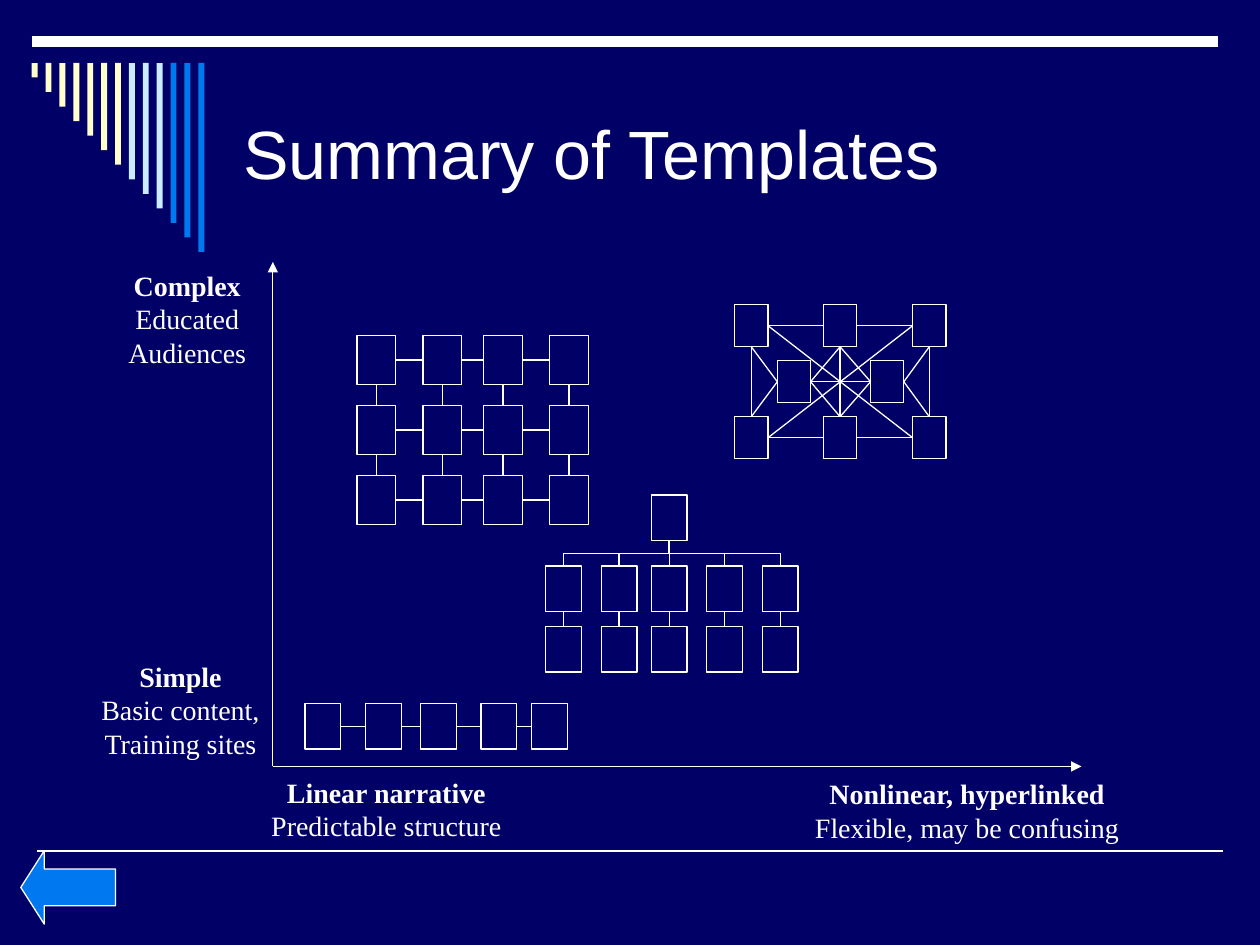
from lxml import etree
from pptx import Presentation
from pptx import util as u
from pptx.dml.color import RGBColor
from pptx.enum import shapes, text
from pptx.oxml.ns import qn

NAVY, WHITE, BLUE, CREAM, PALE = "000066", "FFFFFF", "0078F0", "FFFFCC", "CCECFF"
TOP, LEFT, BOTTOM, RIGHT = range(4)

# All lengths are in centimetres.
TITLE = ("Summary of Templates", (4.65, 1.27, 19.48, 3.61))
LABELS = [
    (["Complex", "Educated", "Audiences"], (2.24, 5.28, 3.07, 2.29)),
    (["Simple", "Basic content,", "Training sites"], (1.7, 13.16, 3.88, 2.29)),
    (["Linear narrative", "Predictable structure"], (5.11, 15.49, 5.36, 1.63)),
    (["Nonlinear, hyperlinked", "Flexible, may be confusing"], (16.08, 15.52, 6.83, 1.63)),
]
RULES = [((0.74, 17.15), (24.66, 17.15), 1), ((0.64, 0.84), (24.56, 0.84), 6)]
STRIPES = [CREAM] * 7 + [PALE] * 3 + [BLUE] * 3
ORIGIN = (5.5, 15.45)
AXIS_ENDS = [(5.5, 5.28), (21.8, 15.45)]

SMALL = (0.72, 0.92)
CHAIN_LEFTS, CHAIN_TOP = [6.15, 7.37, 8.48, 9.7, 10.72], 14.18
GRID_LEFTS, GRID_TOPS, GRID_SIZE = [7.2, 8.53, 9.75, 11.08], [6.77, 8.18, 9.59], (0.78, 0.98)
TREE_LEFTS, TREE_TOPS = [11, 12.12, 13.13, 14.25, 15.37], [11.41, 12.63]
ROOT = (13.13, 9.98)
WEB_SIZE = (0.67, 0.85)
WEB_NODES = {
    "NW": (14.81, 6.14), "N": (16.6, 6.14), "NE": (18.4, 6.14),
    "W": (15.67, 7.27), "E": (17.55, 7.27),
    "SW": (14.81, 8.4), "S": (16.6, 8.4), "SE": (18.4, 8.4),
}
WEB_LINKS = [
    ("NW", BOTTOM, "SW", TOP), ("N", BOTTOM, "S", TOP), ("NE", BOTTOM, "SE", TOP),
    ("NW", RIGHT, "N", LEFT), ("N", RIGHT, "NE", LEFT),
    ("SW", RIGHT, "S", LEFT), ("S", RIGHT, "SE", LEFT), ("W", RIGHT, "E", LEFT),
    ("NW", BOTTOM, "W", LEFT), ("SW", TOP, "W", LEFT),
    ("S", TOP, "W", RIGHT), ("N", BOTTOM, "W", RIGHT),
    ("S", TOP, "E", LEFT), ("N", BOTTOM, "E", LEFT),
    ("NE", BOTTOM, "E", RIGHT), ("SE", TOP, "E", RIGHT),
    ("SW", RIGHT, "NE", LEFT), ("NW", RIGHT, "SE", LEFT),
]


def color(value):
    return RGBColor.from_string(value)


def cm(values):
    return [u.Cm(value) for value in values]


def add_block(parent, kind, at, fill=None, line=None):
    block = parent.shapes.add_shape(kind, *cm(at))
    block.shadow.inherit = False
    if fill:
        block.fill.solid()
        block.fill.fore_color.rgb = color(fill)
    else:
        block.fill.background()
    if line:
        block.line.color.rgb = color(line)
        block.line.width = u.Pt(0.75)
    else:
        block.line.fill.background()
    return block


def add_line(parent, start=(0, 0), end=(0, 0), width=0.75, arrow=False,
             kind=shapes.MSO_CONNECTOR.STRAIGHT):
    line = parent.shapes.add_connector(kind, *cm(start + end))
    line.line.color.rgb = color(WHITE)
    line.line.width = u.Pt(width)
    if arrow:
        etree.SubElement(line.line._get_or_add_ln(), qn("a:tailEnd"), type="triangle")
    etree.SubElement(line._element.spPr, qn("a:effectLst"))
    return line


def add_node(group, place, size):
    return add_block(group, shapes.MSO_SHAPE.FLOWCHART_PROCESS, place + size, line=WHITE)


def link(group, first, first_side, second, second_side, **options):
    line = add_line(group, **options)
    line.begin_connect(first, first_side)
    line.end_connect(second, second_side)
    return line


def branch(group, parent, child):
    """Join parent to a child below it with an elbow that leaves vertically."""
    line = link(group, parent, BOTTOM, child, TOP, kind=shapes.MSO_CONNECTOR.ELBOW)
    across, down = line.end_x - line.begin_x, line.end_y - line.begin_y
    middle_x, middle_y = line.begin_x + across // 2, line.begin_y + down // 2
    line.width, line.height = down, abs(across)
    line.left, line.top = middle_x - down // 2, middle_y - abs(across) // 2
    frame = line._element.spPr.find(qn("a:xfrm"))
    frame.set("rot", str((90 if across < 0 else 270) * 60000))
    frame.set("flipH", "0" if across < 0 else "1")


def add_text(page, lines, at, font, size, align, bold_first=False):
    box = page.shapes.add_textbox(*cm(at))
    frame = box.text_frame
    frame.vertical_anchor = text.MSO_ANCHOR.MIDDLE
    frame.word_wrap = True
    for index, words in enumerate(lines):
        para = frame.paragraphs[0] if index == 0 else frame.add_paragraph()
        para.alignment = align
        span = para.add_run()
        span.text = words
        span.font.name, span.font.size = font, u.Pt(size)
        span.font.bold = bold_first and index == 0
        span.font.color.rgb = color(WHITE)


def draw_decoration(page):
    for start, end, width in RULES:
        add_line(page, start, end, width)
    group = page.shapes.add_group_shape()
    for index, fill in enumerate(STRIPES):
        height = 3.81 * (index + 1) / len(STRIPES)
        add_block(group, shapes.MSO_SHAPE.RECTANGLE,
                  (0.64 + 0.28 * index, 1.27, 0.12, height), fill)


def draw_web(page):
    group = page.shapes.add_group_shape()
    nodes = {name: add_node(group, place, WEB_SIZE) for name, place in WEB_NODES.items()}
    for first, first_side, second, second_side in WEB_LINKS:
        link(group, nodes[first], first_side, nodes[second], second_side)


def draw_grid(page, lefts, tops, size, linked_rows=True):
    """Draw rows of nodes joined downwards and, if wanted, along each row."""
    group = page.shapes.add_group_shape()
    rows = [[add_node(group, (left, top), size) for left in lefts] for top in tops]
    for upper, lower in zip(rows, rows[1:]):
        for above, below in zip(upper, lower):
            link(group, above, BOTTOM, below, TOP)
    if linked_rows:
        for row in rows:
            for before, after in zip(row, row[1:]):
                link(group, before, RIGHT, after, LEFT)
    return group, rows


def draw_tree(page):
    group, rows = draw_grid(page, TREE_LEFTS, TREE_TOPS, SMALL, linked_rows=False)
    root = add_node(group, ROOT, SMALL)
    for child in rows[0]:
        if child.left == root.left:
            link(group, root, BOTTOM, child, TOP)
        else:
            branch(group, root, child)


def main():
    deck = Presentation()
    deck.slide_width, deck.slide_height = cm((25.4, 19.05))
    page = deck.slides.add_slide(deck.slide_layouts[6])
    page.background.fill.solid()
    page.background.fill.fore_color.rgb = color(NAVY)

    draw_decoration(page)
    words, at = TITLE
    add_text(page, [words], at, "Arial", 39, text.PP_ALIGN.LEFT)
    for end in AXIS_ENDS:
        add_line(page, ORIGIN, end, arrow=True)
    draw_web(page)
    draw_grid(page, CHAIN_LEFTS, [CHAIN_TOP], SMALL)
    draw_grid(page, GRID_LEFTS, GRID_TOPS, GRID_SIZE)
    draw_tree(page)
    for lines, at in LABELS:
        add_text(page, lines, at, "Times New Roman", 16, text.PP_ALIGN.CENTER, bold_first=True)
    back = add_block(page, shapes.MSO_SHAPE.LEFT_ARROW, (0.42, 17.15, 1.91, 1.48), BLUE, WHITE)
    back.adjustments[1] = 0.32
    deck.save("out.pptx")


if __name__ == "__main__":
    main()
